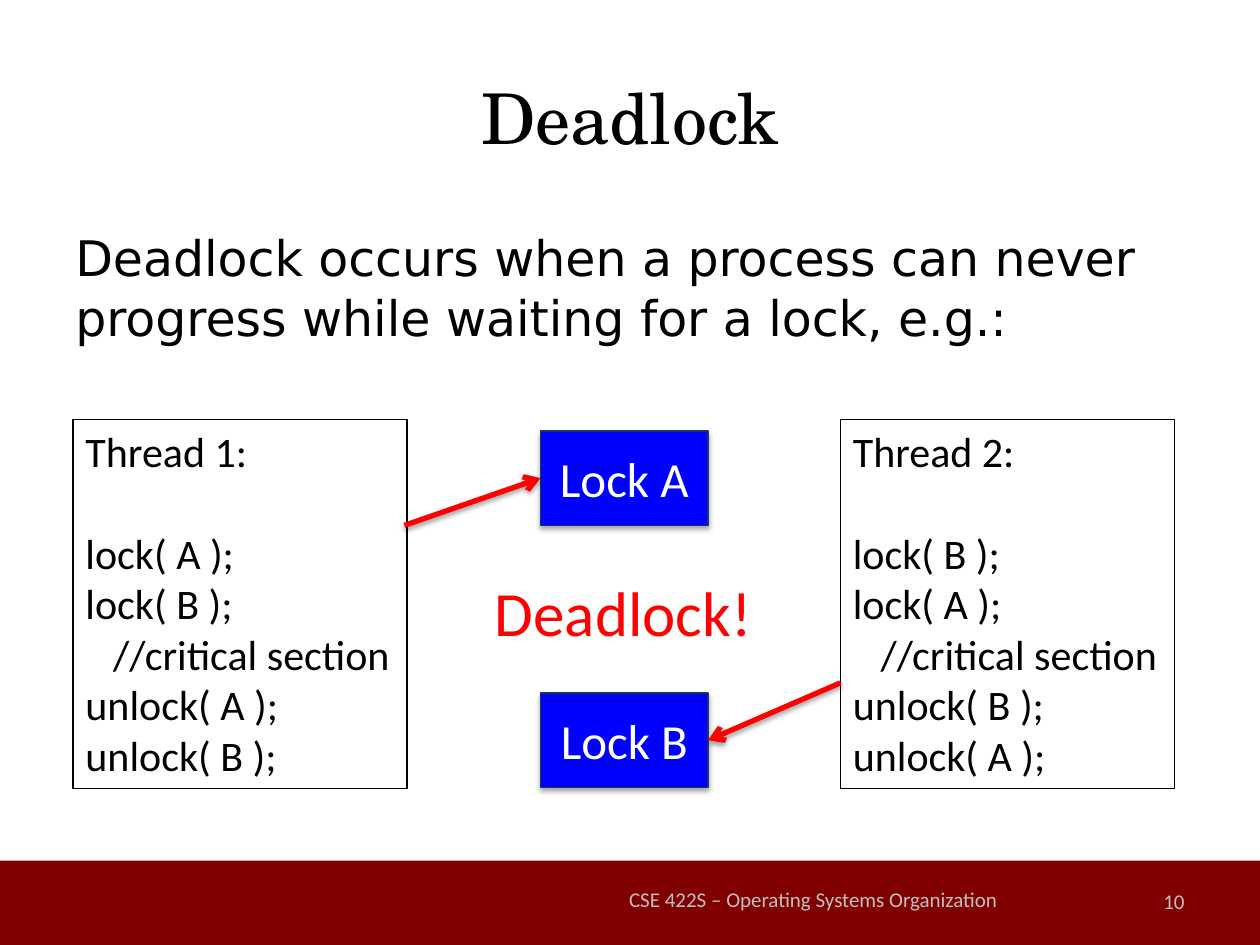
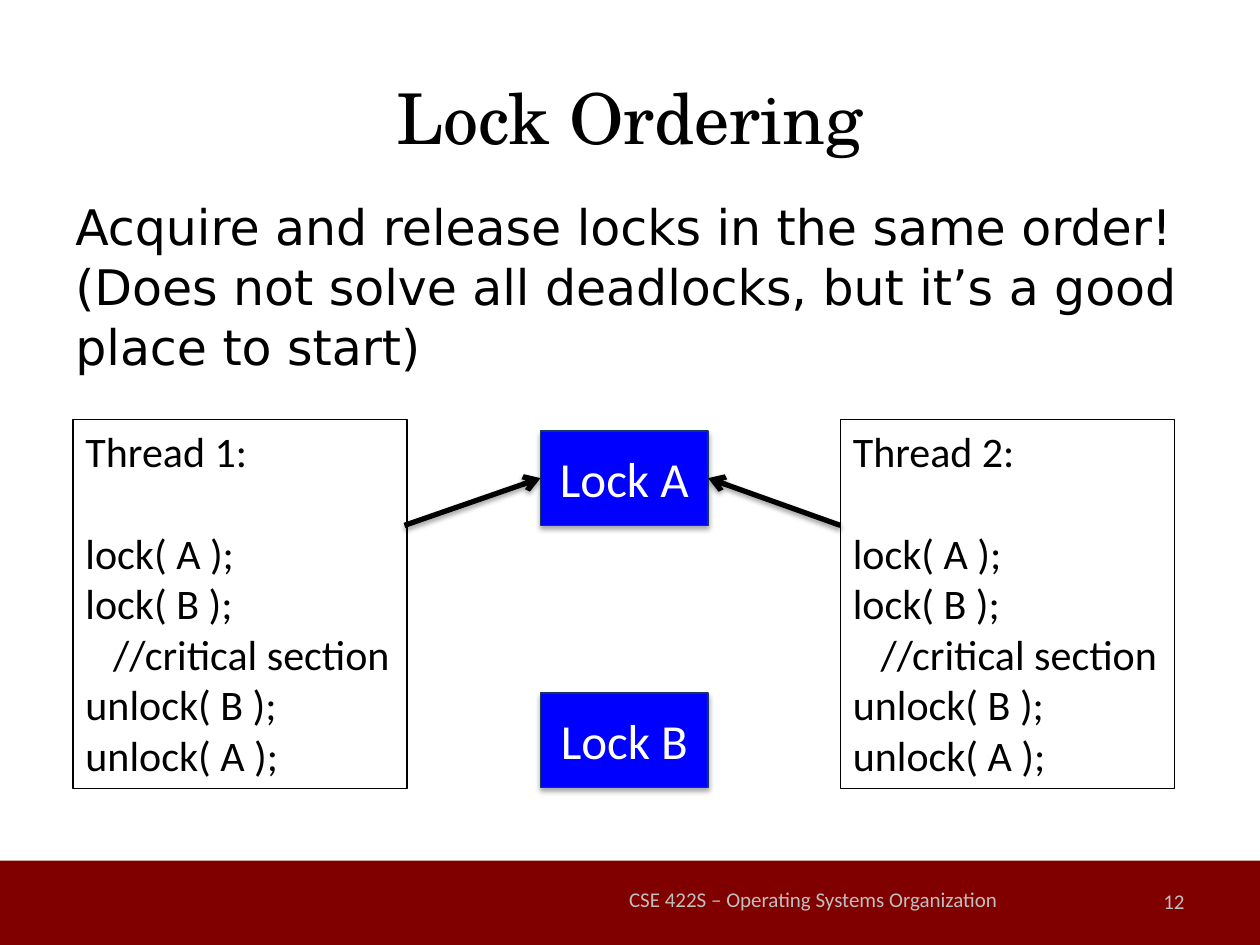
import pptx
import pptx.dml.color
import pptx.enum.shapes
import pptx.enum.text
import pptx.oxml
import pptx.oxml.ns
import pptx.util

Inches = pptx.util.Inches
Pt = pptx.util.Pt
RGBColor = pptx.dml.color.RGBColor
ALIGN = pptx.enum.text.PP_ALIGN
ANCHOR = pptx.enum.text.MSO_ANCHOR
RECTANGLE = pptx.enum.shapes.MSO_SHAPE.RECTANGLE
STRAIGHT = pptx.enum.shapes.MSO_CONNECTOR.STRAIGHT

# Shared style
BLACK = RGBColor(0x00, 0x00, 0x00)
WHITE = RGBColor(0xFF, 0xFF, 0xFF)
MAROON = RGBColor(0x80, 0x00, 0x00)
SILVER = RGBColor(0xBF, 0xBF, 0xBF)
BLUE = RGBColor(0x00, 0x00, 0xFF)
NAVY = RGBColor(0x17, 0x37, 0x5E)
RED = RGBColor(0xFF, 0x00, 0x00)
TITLE_FONT = "TeX Gyre Schola"
BODY_FONT = "DejaVu Sans"
LABEL_FONT = "Calibri"
COURSE = "CSE 422S – Operating Systems Organization"

# Diagram grid: left edges of the threads, and the column of locks
THREAD_LEFTS = (0.58, 6.67)
LOCK_LEFT = 4.29
LOCK_TOPS = {"A": 3.42, "B": 5.5}
LEFT_SIDE, RIGHT_SIDE = 1, 3


def write(frame, text, font=LABEL_FONT, size=12, color=BLACK,
          align=ALIGN.LEFT, anchor=ANCHOR.TOP, spacing=None):
    """Fill a text frame, one paragraph per line, and return the paragraphs."""
    frame.text = text
    frame.word_wrap = True
    frame.vertical_anchor = anchor
    for paragraph in frame.paragraphs:
        paragraph.alignment = align
        paragraph.line_spacing = spacing
        for run in paragraph.runs:
            run.font.name = font
            run.font.size = Pt(size)
            run.font.color.rgb = color
    return frame.paragraphs


def cast_shadow(element, distance, opacity):
    """Add a soft black shadow below an outlined shape or connector."""
    element.spPr.append(pptx.oxml.parse_xml(
        f'<a:effectLst {pptx.oxml.ns.nsdecls("a")}>'
        f'<a:outerShdw blurRad="{Pt(3.1)}" dist="{Pt(distance)}" '
        'dir="5400000" rotWithShape="0"><a:srgbClr val="000000">'
        f'<a:alpha val="{opacity * 1000}"/></a:srgbClr>'
        '</a:outerShdw></a:effectLst>'))


class Deck:
    """Holds the presentation style and the slide being built."""

    def __init__(self):
        self.presentation = pptx.Presentation()
        self.presentation.slide_width = Inches(10)
        self.presentation.slide_height = Inches(7.5)
        self.slide = None

    def start_slide(self, heading, number):
        layout = self.presentation.slide_layouts.get_by_name("Title Only")
        self.slide = self.presentation.slides.add_slide(layout)
        # Title
        title = self.slide.shapes.title
        title.left, title.top = Inches(0.5), Inches(0.3)
        title.width, title.height = Inches(9), Inches(1.25)
        write(title.text_frame, heading, font=TITLE_FONT, size=40,
              align=ALIGN.CENTER, anchor=ANCHOR.MIDDLE)
        # Footer band with page number and course name
        self.box(0, 6.83, 10, 0.67, fill=MAROON)
        self.label(str(number), 7.17, 6.95, 2.33, 0.4, color=SILVER,
                   align=ALIGN.RIGHT, anchor=ANCHOR.MIDDLE)
        self.label(COURSE, 4.08, 6.92, 4.75, 0.43, color=SILVER,
                   align=ALIGN.CENTER, anchor=ANCHOR.MIDDLE)

    def box(self, left, top, width, height, fill=None, line=None):
        box = self.slide.shapes.add_shape(
            RECTANGLE, Inches(left), Inches(top), Inches(width), Inches(height))
        if fill is None:
            box.fill.background()
        else:
            box.fill.solid()
            box.fill.fore_color.rgb = fill
        if line is None:
            box.line.fill.background()
        else:
            box.line.color.rgb = line
            box.line.width = Pt(0.75)
        box.shadow.inherit = False
        return box

    def label(self, text, left, top, width, height, **style):
        label = self.slide.shapes.add_textbox(
            Inches(left), Inches(top), Inches(width), Inches(height))
        write(label.text_frame, text, **style)

    def statement(self, text, top):
        self.label(text, 0.5, top, 9, 4.95, font=BODY_FONT, size=28, spacing=1.02)

    def lock(self, name):
        lock = self.box(LOCK_LEFT, LOCK_TOPS[name], 1.33, 0.75, BLUE, NAVY)
        lock.element.spPr.remove(lock.element.spPr.find(pptx.oxml.ns.qn("a:effectLst")))
        cast_shadow(lock.element, distance=1.8, opacity=35)
        write(lock.text_frame, f"Lock {name}", size=28, color=WHITE,
              align=ALIGN.CENTER, anchor=ANCHOR.MIDDLE)
        return lock

    def thread(self, number, acquired, released):
        thread = self.box(THREAD_LEFTS[number - 1], 3.33, 2.65, 2.93, line=BLACK)
        code = [f"Thread {number}:",
                *(f"lock( {name} );" for name in acquired),
                "//critical section",
                *(f"unlock( {name} );" for name in released)]
        lines = write(thread.text_frame, "\n".join(code), size=24)
        lines[1].space_before = Pt(29.3)
        critical = lines[1 + len(acquired)]
        critical._p.get_or_add_pPr().set("marL", str(Inches(0.22)))

    def arrow(self, x, y, lock, side, color):
        arrow = self.slide.shapes.add_connector(
            STRAIGHT, Inches(x), Inches(y), lock.left, lock.top)
        arrow.end_connect(lock, side)
        arrow.line.color.rgb = color
        arrow.line.width = Pt(3)
        arrow.line._get_or_add_ln().append(pptx.oxml.parse_xml(
            f'<a:tailEnd {pptx.oxml.ns.nsdecls("a")} type="arrow"/>'))
        cast_shadow(arrow.element, distance=1.6, opacity=38)


def main():
    deck = Deck()

    # Deadlock: each thread holds the lock that the other one needs
    deck.start_slide("Deadlock", 10)
    deck.statement("Deadlock occurs when a process can never progress "
                   "while waiting for a lock, e.g.:", top=1.75)
    lock_a, lock_b = deck.lock("A"), deck.lock("B")
    deck.thread(1, acquired="AB", released="AB")
    deck.thread(2, acquired="BA", released="BA")
    deck.arrow(6.67, 5.42, lock_b, RIGHT_SIDE, RED)
    deck.arrow(3.21, 4.17, lock_a, LEFT_SIDE, RED)
    deck.label("Deadlock!", 3.83, 4.5, 2.26, 0.71, size=36, color=RED)

    # Lock ordering: both threads ask for lock A first
    deck.start_slide("Lock Ordering", 12)
    deck.statement("Acquire and release locks in the same order! (Does not solve "
                   "all deadlocks, but it’s a good place to start)", top=1.5)
    lock_a, lock_b = deck.lock("A"), deck.lock("B")
    for number in (1, 2):
        deck.thread(number, acquired="AB", released="BA")
    deck.arrow(3.21, 4.17, lock_a, LEFT_SIDE, BLACK)
    deck.arrow(6.67, 4.17, lock_a, RIGHT_SIDE, BLACK)

    deck.presentation.save("out.pptx")


if __name__ == "__main__":
    main()
